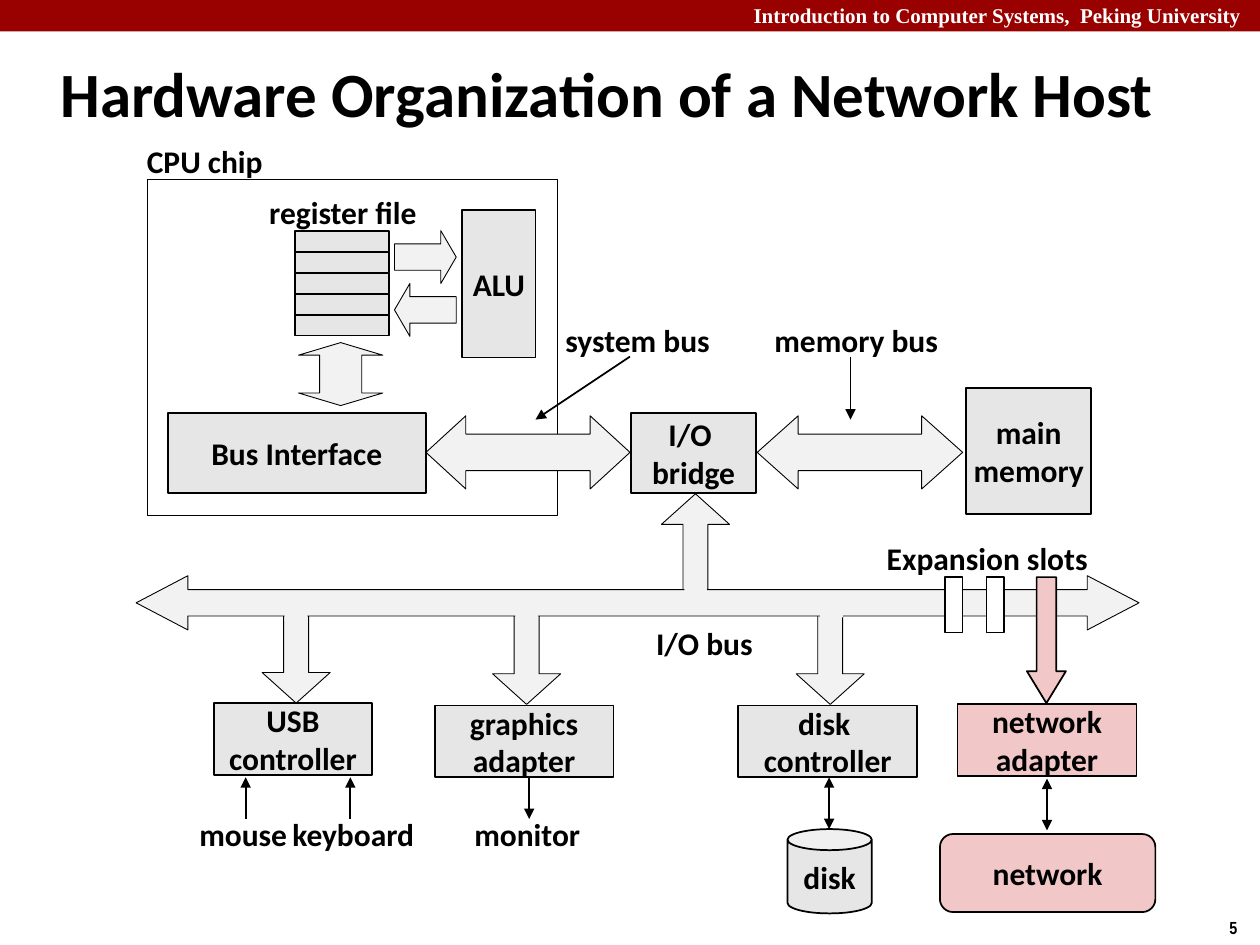
from dataclasses import dataclass

from lxml.etree import SubElement
from pptx import Presentation
from pptx.dml.color import RGBColor
from pptx.enum.shapes import MSO_CONNECTOR, MSO_SHAPE as Kind
from pptx.enum.text import MSO_ANCHOR as Anchor, PP_ALIGN as Align
from pptx.oxml.ns import qn
from pptx.shapes.autoshape import Shape
from pptx.slide import Slide
from pptx.util import Pt

COLOURS = {
    "banner": "990000", "black": "000000", "white": "FFFFFF",
    "unit": "E6E6E6", "bus": "F2F2F2", "network": "F1C7C7",
}
THIN, MEDIUM = 0.5, 1


@dataclass
class Block:
    kind: Kind
    left: float
    top: float
    width: float
    height: float
    fill: str | None = "unit"
    line: float = MEDIUM
    text: str = ""
    adjust: tuple[float, ...] = ()


@dataclass
class Label:
    text: str
    left: float
    top: float
    width: float
    height: float = 28.8
    size: float = 18
    font: str = "Calibri"
    colour: str = "black"
    align: Align = Align.CENTER
    anchor: Anchor = Anchor.MIDDLE
    wrap: bool = False


@dataclass
class Link:
    start: tuple[float, float]
    end: tuple[float, float]
    head: bool = False
    tail: bool = False


def rgb(name: str) -> RGBColor:
    return RGBColor.from_string(COLOURS[name])


def unit(text: str, left: float, top: float, width: float, height: float,
         fill: str = "unit") -> Block:
    return Block(Kind.RECTANGLE, left, top, width, height, fill, text=text)


def bus(kind: Kind, left: float, top: float, width: float, height: float,
        *adjust: float) -> Block:
    return Block(kind, left, top, width, height, "bus", THIN, adjust=adjust)


def branch(left: float, top: float, height: float, kind: Kind = Kind.DOWN_ARROW) -> Block:
    return bus(kind, left, top, 38.9, height, 0.367, 0.449)


def joint(left: float, top: float) -> Block:
    """Borderless patch that merges a branch with the I/O bus."""
    return Block(Kind.RECTANGLE, left, top, 13, 12.2, "bus", 0)


def write(frame, label: Label) -> None:
    frame.word_wrap = label.wrap
    frame.vertical_anchor = label.anchor
    frame.text = label.text
    for para in frame.paragraphs:
        para.alignment = label.align
        para.font.name = label.font
        para.font.size = Pt(label.size)
        para.font.bold = True
        para.font.color.rgb = rgb(label.colour)


def set_guides(shape: Shape, values: tuple[float, ...]) -> None:
    """Name the guides explicitly: the library misnames those of the up-down arrow."""
    guides = shape._element.spPr.find(qn("a:prstGeom")).find(qn("a:avLst"))
    guides.clear()
    for number, value in enumerate(values, 1):
        name = f"adj{number}" if len(values) > 1 else "adj"
        SubElement(guides, qn("a:gd"), name=name, fmla=f"val {round(value * 100000)}")


def draw_block(page: Slide, block: Block) -> None:
    box = (block.left, block.top, block.width, block.height)
    shape = page.shapes.add_shape(block.kind, *map(Pt, box))
    shape.shadow.inherit = False
    if block.adjust:
        set_guides(shape, block.adjust)
    if block.fill:
        shape.fill.solid()
        shape.fill.fore_color.rgb = rgb(block.fill)
    else:
        shape.fill.background()
    if block.line:
        shape.line.color.rgb = rgb("black")
        shape.line.width = Pt(block.line)
    else:
        shape.line.fill.background()
    if block.text:
        write(shape.text_frame, Label(block.text, *box))


def draw_label(page: Slide, label: Label) -> None:
    box = (label.left, label.top, label.width, label.height)
    write(page.shapes.add_textbox(*map(Pt, box)).text_frame, label)


def draw_link(page: Slide, link: Link) -> None:
    connector = page.shapes.add_connector(
        MSO_CONNECTOR.STRAIGHT, *map(Pt, link.start + link.end))
    connector.line.color.rgb = rgb("black")
    connector.line.width = Pt(MEDIUM)
    outline = connector.line._get_or_add_ln()
    for tag, shown in (("a:headEnd", link.head), ("a:tailEnd", link.tail)):
        if shown:
            SubElement(outline, qn(tag), type="triangle")
    SubElement(connector._element.spPr, qn("a:effectLst"))


BLOCKS = [
    Block(Kind.RECTANGLE, 0, 0, 720, 18, "banner", 0),
    Block(Kind.RECTANGLE, 84.2, 102.2, 234, 192.2, None, 0.25),
    # CPU and memory
    unit("main\nmemory", 552.2, 221.8, 71.3, 72),
    bus(Kind.LEFT_RIGHT_ARROW, 432.7, 237.6, 117.4, 41.8, 0.5, 0.56),
    unit("I/O \nbridge", 360.7, 236.2, 71.3, 45.4),
    bus(Kind.LEFT_RIGHT_ARROW, 243.4, 237.6, 116.6, 41.8, 0.5, 0.545),
    unit("Bus Interface", 95.8, 236.2, 147.6, 45.4),
    *(unit("", 168.5, 131.8 + 12 * row, 54, 12) for row in range(5)),
    bus(Kind.RIGHT_ARROW, 225.4, 131.8, 35.3, 30.2, 0.5, 0.292),
    bus(Kind.LEFT_ARROW, 225.4, 162, 35.3, 30.2, 0.5, 0.292),
    unit("ALU", 264.2, 120.2, 41.8, 84.2),
    bus(Kind.UP_DOWN_ARROW, 170.6, 195.8, 48.2, 36, 0.5, 0.2),
    # Devices
    branch(378, 282.2, 59.8, Kind.UP_ARROW),
    branch(455, 346.3, 56.2),
    unit("disk \ncontroller", 421.9, 403.2, 102.2, 41),
    branch(281.5, 346.3, 56.2),
    unit("graphics\nadapter", 248.4, 403.2, 102.2, 41),
    branch(149.8, 344.9, 56.9),
    unit("USB\ncontroller", 122.4, 401.8, 90, 41),
    Block(Kind.CAN, 450, 473.8, 48.2, 48.2, text="disk", adjust=(0.25,)),
    # I/O bus and expansion slots
    bus(Kind.LEFT_RIGHT_ARROW, 77.8, 329, 573.1, 31, 0.486, 0.955),
    joint(162.7, 342.7),
    joint(294.5, 341.3),
    joint(468.7, 340.6),
    joint(391, 336.2),
    *(unit("", left, 329.8, 10.1, 31.7, "white") for left in (540, 563.8)),
    Block(Kind.DOWN_ARROW, 586.8, 329.8, 22.3, 72, "network", adjust=(0.5, 0.818)),
    unit("network\nadapter", 547.2, 402.5, 102.2, 41, "network"),
    Block(Kind.ROUNDED_RECTANGLE, 537.1, 476.6, 123.1, 44.6, "network",
          text="network", adjust=(0.167,)),
]

LINKS = [
    Link((360, 203.8), (306, 239.8), tail=True),
    Link((486, 203.8), (486, 239.8), tail=True),
    Link((140.4, 444.2), (140.4, 468), head=True),
    Link((200.2, 444.2), (200.2, 468), head=True),
    Link((302.4, 444.2), (302.4, 468), tail=True),
    Link((473.8, 444.2), (473.8, 473.8), head=True, tail=True),
    Link((598.3, 445), (598.3, 474.5), head=True, tail=True),
]

LABELS = [
    Label("Introduction to Computer Systems,  Peking University ", 342, -2.2, 377.3, 21.6,
          12, "Times New Roman", "white", Align.RIGHT, Anchor.TOP, True),
    Label("5", 695.5, 520.6, 24.5, 19.4, 10, "Arial Narrow",
          align=Align.LEFT, anchor=Anchor.TOP),
    Label("Hardware Organization of a Network Host", 27.4, 22.3, 686.2, 61.2, 36,
          align=Align.LEFT, wrap=True),
    Label("CPU chip", 76.3, 77.8, 81.4),
    Label("register file", 146.2, 106.6, 99.4),
    Label("system bus", 315.4, 180, 97.9),
    Label("memory bus", 434.9, 180, 108.7),
    Label("Expansion slots", 499, 304.6, 130.3),
    Label("I/O bus", 367.2, 352.8, 70.6),
    Label("mouse", 106.6, 462.2, 64.8),
    Label("keyboard", 159.8, 462.2, 84.2),
    Label("monitor", 263.5, 462.2, 75.6),
]


def main() -> None:
    deck = Presentation()
    deck.slide_width, deck.slide_height = Pt(720), Pt(540)
    page = deck.slides.add_slide(deck.slide_layouts[6])
    for block in BLOCKS:
        draw_block(page, block)
    for link in LINKS:
        draw_link(page, link)
    for label in LABELS:
        draw_label(page, label)
    deck.save("out.pptx")


if __name__ == "__main__":
    main()
